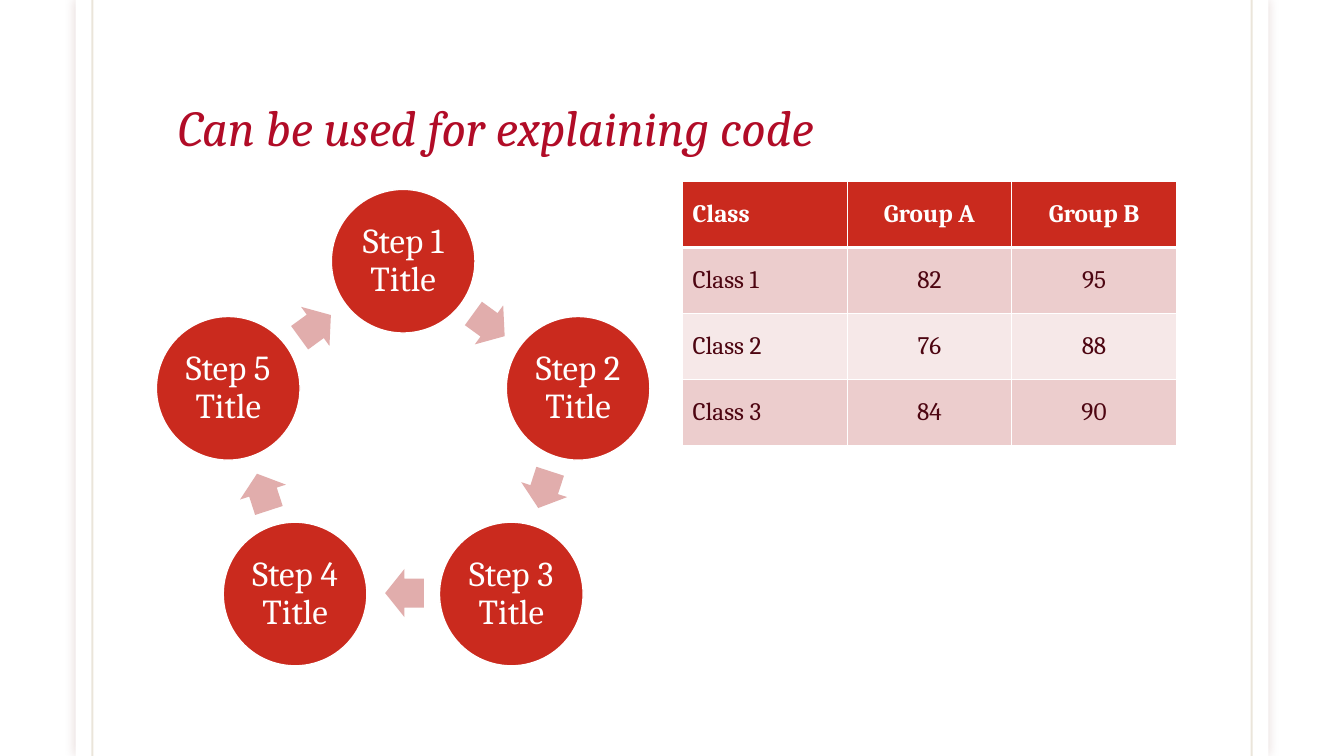
import math
from lxml import etree
from pptx import Presentation
from pptx.dml.color import RGBColor
from pptx.enum.shapes import MSO_CONNECTOR, MSO_SHAPE
from pptx.enum.text import MSO_ANCHOR, PP_ALIGN
from pptx.oxml.ns import qn
from pptx.util import Emu, Inches, Pt

OVAL, ARROW, RECT = MSO_SHAPE.OVAL, MSO_SHAPE.RIGHT_ARROW, MSO_SHAPE.RECTANGLE
STRAIGHT = MSO_CONNECTOR.STRAIGHT
MIDDLE, BOTTOM = MSO_ANCHOR.MIDDLE, MSO_ANCHOR.BOTTOM
LEFT, CENTER = PP_ALIGN.LEFT, PP_ALIGN.CENTER

UNIT = Inches(1) / 12
COLS, ROWS = 160, 90
FONT = "Cambria"
RED, WHITE, PINK = "CA2A1E", "FFFFFF", "E1ADAC"


def rgb(value):
    return RGBColor.from_string(value)


def grid(*cells):
    return [Emu(round(c * UNIT)) for c in cells]


prs = Presentation()
prs.slide_width, prs.slide_height = grid(COLS, ROWS)
s = prs.slides.add_slide(prs.slide_layouts[6])

page = s.shapes.add_shape(RECT, *grid(9, 0, 142, ROWS))
page.fill.solid()
page.fill.fore_color.rgb = rgb(WHITE)
page.line.fill.background()
page.shadow.inherit = False
effects = page._element.spPr.find(qn("a:effectLst"))
shadow = etree.SubElement(effects, qn("a:outerShdw"), blurRad=str(Pt(7)), dist="0", dir="0")
shade = etree.SubElement(shadow, qn("a:srgbClr"), val="65150F")
etree.SubElement(shade, qn("a:alpha"), val="15000")

for x in (11, COLS - 11):
    rule = s.shapes.add_connector(STRAIGHT, *grid(x, 0, x, ROWS))
    rule.line.width = Pt(1.5)
    rule.line.color.rgb = rgb("79540B")
    tint = rule._element.spPr.find(".//" + qn("a:srgbClr"))
    etree.SubElement(tint, qn("a:alpha"), val="15000")
    etree.SubElement(rule._element.spPr, qn("a:effectLst"))

title = s.shapes.add_textbox(*grid(20, 4.2, 120, 15))
tf = title.text_frame
tf.word_wrap = True
tf.vertical_anchor = BOTTOM
tf.text = "Can be used for explaining code"
p = tf.paragraphs[0]
p.line_spacing = 0.85
p.font.name, p.font.size, p.font.italic = FONT, Pt(36), True
p.font.color.rgb = rgb("B10C27")

scores = [
    ("Class", "Group A", "Group B"),
    ("Class 1", "82", "95"),
    ("Class 2", "76", "88"),
    ("Class 3", "84", "90"),
]
fills = [RED, "ECCDCD", "F6E8E8", "ECCDCD"]
table = s.shapes.add_table(4, 3, *grid(81.25, 21.6, 58.8, 31.4)).table
for i, row in enumerate(scores):
    for j, text in enumerate(row):
        cell = table.cell(i, j)
        cell.vertical_anchor = MIDDLE
        cell.text = text
        p = cell.text_frame.paragraphs[0]
        p.alignment = CENTER if j else LEFT
        p.font.name, p.font.size, p.font.bold = FONT, Pt(18), i == 0
        p.font.color.rgb = rgb("4D0511" if i else WHITE)
        tcPr = cell._tc.get_or_add_tcPr()
        for side in ("L", "R", "T", "B"):
            thick = (i, side) in ((0, "B"), (1, "T"))
            edge = etree.SubElement(tcPr, qn(f"a:ln{side}"), w=str(Pt(3 if thick else 1)))
            paint = etree.SubElement(edge, qn("a:solidFill"))
            etree.SubElement(paint, qn("a:srgbClr"), val=WHITE)
        cell.fill.solid()
        cell.fill.fore_color.rgb = rgb(fills[i])

center_x, center_y = 48, 53
ring, arrow_ring = 21.9, 17.6
disc, arrow_w, arrow_h = 17.1, 4.6, 5.75
for i in range(5):
    turn = math.radians(72 * i)
    x, y = center_x + ring * math.sin(turn), center_y - ring * math.cos(turn)
    step = s.shapes.add_shape(OVAL, *grid(x - disc / 2, y - disc / 2, disc, disc))
    step.fill.solid()
    step.fill.fore_color.rgb = rgb(RED)
    step.line.color.rgb = rgb(WHITE)
    step.line.width = Pt(1)
    step.shadow.inherit = False
    tf = step.text_frame
    tf.word_wrap = True
    tf.vertical_anchor = MIDDLE
    tf.margin_left = tf.margin_right = tf.margin_top = tf.margin_bottom = Inches(0.03)
    tf.text = f"Step {i + 1} Title"
    p = tf.paragraphs[0]
    p.alignment = CENTER
    p.line_spacing = 0.9
    p.font.name, p.font.size = FONT, Pt(25)
    p.font.color.rgb = rgb(WHITE)

    turn = math.radians(72 * i + 35.5)
    x, y = center_x + arrow_ring * math.sin(turn), center_y - arrow_ring * math.cos(turn)
    arrow = s.shapes.add_shape(ARROW, *grid(x - arrow_w / 2, y - arrow_h / 2, arrow_w, arrow_h))
    arrow.rotation = 72 * i + 36
    arrow.adjustments[0], arrow.adjustments[1] = 0.6, 0.5
    arrow.fill.solid()
    arrow.fill.fore_color.rgb = rgb(PINK)
    arrow.line.fill.background()
    arrow.shadow.inherit = False

prs.save("out.pptx")
